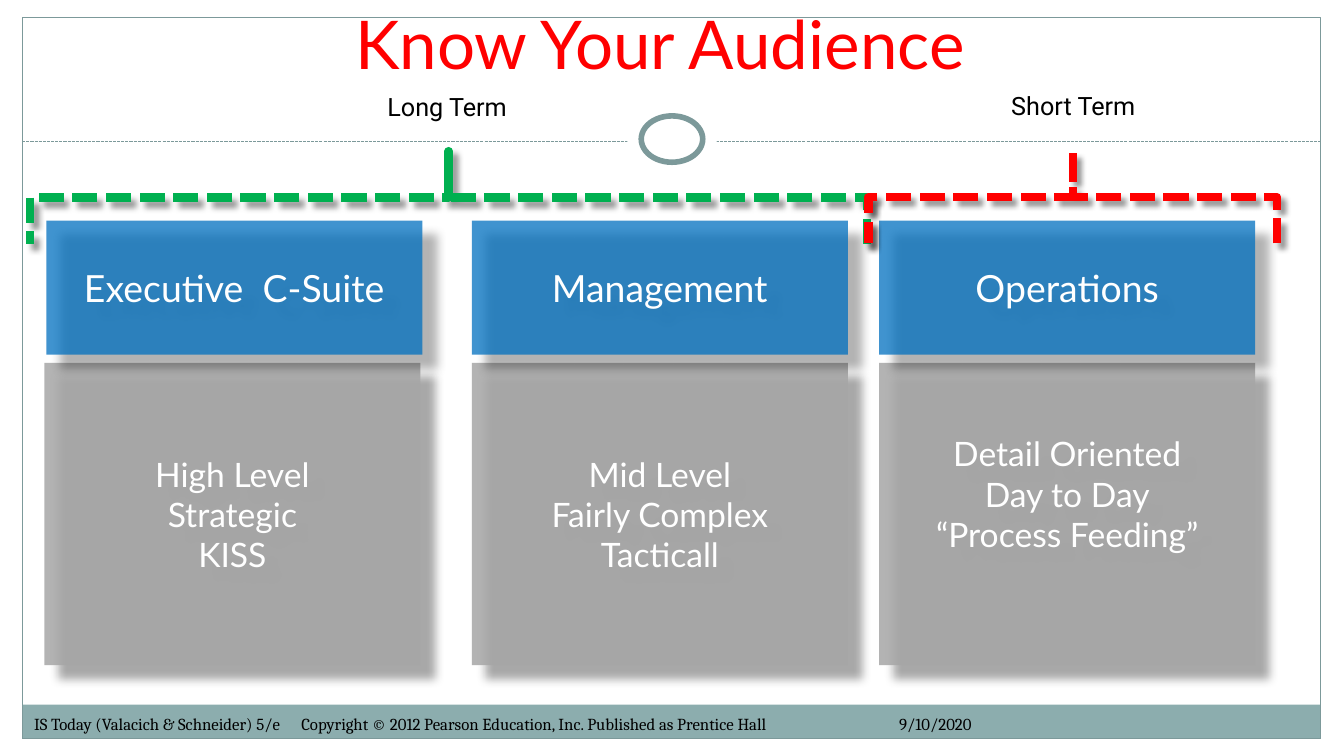
"""Build the audience slide: three columns under long-term and short-term braces."""
from lxml import etree
from pptx import Presentation
from pptx.dml.color import RGBColor
from pptx.enum import dml, shapes, text
from pptx.oxml.ns import qn
from pptx.util import Inches, Pt

TITLE = "Know Your Audience"
COLUMNS = [
    {"left": 4.68 - 4.22, "body_left": 0.44, "head": "Executive  C-Suite",
     "lines": ["High Level", "Strategic", "KISS"], "bottom": 0.05},
    {"left": 4.68, "body_left": 4.68, "head": "Management",
     "lines": ["Mid Level", "Fairly Complex", "Tacticall"], "bottom": 0.05},
    {"left": 8.72, "body_left": 8.72, "head": "Operations",
     "lines": ["Detail Oriented", "Day to Day", "“Process Feeding”"], "bottom": 0.45},
]
TERMS = [
    {"label": "Long Term", "label_at": (3.31, 0.86), "center": (4.45, 1.96),
     "span": 8.3, "color": "green"},
    {"label": "Short Term", "label_at": (9.52, 0.85), "center": (10.64, 1.955),
     "span": 4.05, "color": "red"},
]
FOOTER = ["IS Today (Valacich & Schneider) 5/e",
          "Copyright © 2012 Pearson Education, Inc. Published as Prentice Hall",
          "9/10/2020"]
FOOTER_TABS = [2.65, 8.58]

COLORS = {"white": "FFFFFF", "black": "000000", "band": "8CADAE", "frame": "7C999A",
          "gray": "A6A6A6", "blue": "0070C0", "green": "00B050", "red": "FF0000"}
FORMATS = {
    "title": {"name": "Lato", "size": Pt(48), "color": "red"},
    "head": {"name": "Lato", "size": Pt(26.7), "color": "white"},
    "body": {"name": "Lato", "size": Pt(24), "color": "white"},
    "term": {"name": "Roboto", "size": Pt(18), "color": "black"},
    "footer": {"name": "Cambria", "size": Pt(12), "color": "black"},
}
CARD_WIDTH, HEAD_TOP, HEAD_HEIGHT, BODY_TOP, BODY_HEIGHT = 3.73, 2.19, 1.33, 3.6, 3
BRACE_DEPTH = 0.92
CARD_SHADOW = {"blur": 7, "distance": 14}
BRACE_SHADOW = {"blur": 4, "distance": 5}


def rgb(color):
    return RGBColor.from_string(COLORS[color])


def style_line(line, color, width, dashed=False):
    line.color.rgb = rgb(color)
    line.width = Pt(width)
    if dashed:
        line.dash_style = dml.MSO_LINE.SQUARE_DOT


def add_shadow(shape, blur, distance):
    effects = shape._element.spPr.find(qn("a:effectLst"))
    shadow = etree.SubElement(effects, qn("a:outerShdw"), blurRad=str(Pt(blur)),
                              dist=str(Pt(distance)), dir=str(45 * 60000),
                              algn="tl", rotWithShape="0")
    color = etree.SubElement(shadow, qn("a:srgbClr"), val=COLORS["black"])
    etree.SubElement(color, qn("a:alpha"), val="40000")


def add_preset(slide, kind, box, fill=None, opacity=100, line=None):
    shape = slide.shapes.add_shape(kind, *map(Inches, box))
    shape.shadow.inherit = False
    if fill:
        shape.fill.solid()
        shape.fill.fore_color.rgb = rgb(fill)
        if opacity < 100:
            color = shape._element.spPr.find(qn("a:solidFill"))[0]
            etree.SubElement(color, qn("a:alpha"), val=str(opacity * 1000))
    else:
        shape.fill.background()
    if line:
        style_line(shape.line, *line)
    else:
        shape.line.fill.background()
    return shape


def write(shape, lines, style, align=text.PP_ALIGN.CENTER,
          anchor=text.MSO_ANCHOR.TOP, bottom=0.05):
    frame = shape.text_frame
    settings = {"word_wrap": True, "vertical_anchor": anchor,
                "auto_size": text.MSO_AUTO_SIZE.NONE, "margin_bottom": Inches(bottom)}
    for name, value in settings.items():
        setattr(frame, name, value)
    frame.text = "\n".join(lines)
    for paragraph in frame.paragraphs:
        paragraph.alignment = align
        for run in paragraph.runs:
            for name, value in FORMATS[style].items():
                if name == "color":
                    run.font.color.rgb = rgb(value)
                else:
                    setattr(run.font, name, value)


def add_text(slide, box, lines, style, **options):
    shape = slide.shapes.add_textbox(*map(Inches, box))
    write(shape, lines, style, **options)
    return shape


def add_backdrop(slide):
    rectangle, oval = shapes.MSO_SHAPE.RECTANGLE, shapes.MSO_SHAPE.OVAL
    add_preset(slide, rectangle, (0.22, 6.99, 12.88, 0.34), fill="band")
    add_preset(slide, rectangle, (0.22, 0.17, 12.88, 7.16), line=("frame", 0.75))
    rule = slide.shapes.add_connector(shapes.MSO_CONNECTOR.STRAIGHT,
                                      *map(Inches, (0.22, 1.4, 13.1, 1.4)))
    style_line(rule.line, "frame", 0.75, dashed=True)
    etree.SubElement(rule._element.spPr, qn("a:effectLst"))
    add_preset(slide, oval, (6.22, 1.05, 0.89, 0.67), fill="white")
    add_preset(slide, oval, (6.36, 1.15, 0.61, 0.46), fill="white", line=("frame", 4))
    footer = add_text(slide, (0.24, 7.03, 12.8, 0.27), ["\t".join(FOOTER)], "footer",
                      align=text.PP_ALIGN.LEFT)
    properties = footer.text_frame.paragraphs[0]._p.get_or_add_pPr()
    tabs = etree.SubElement(properties, qn("a:tabLst"))
    for position in FOOTER_TABS:
        etree.SubElement(tabs, qn("a:tab"), pos=str(Inches(position)), algn="l")


def add_column(slide, column):
    cards = [
        ((column["body_left"], BODY_TOP, CARD_WIDTH, BODY_HEIGHT), "gray", 85,
         column["lines"], "body", column["bottom"]),
        ((column["left"], HEAD_TOP, CARD_WIDTH, HEAD_HEIGHT), "blue", 75,
         [column["head"]], "head", 0.05),
    ]
    for box, fill, opacity, lines, style, bottom in cards:
        card = add_preset(slide, shapes.MSO_SHAPE.RECTANGLE, box, fill, opacity)
        add_shadow(card, **CARD_SHADOW)
        write(card, lines, style, anchor=text.MSO_ANCHOR.MIDDLE, bottom=bottom)


def add_brace(slide, term):
    x, y = term["center"]
    box = (x - BRACE_DEPTH / 2, y - term["span"] / 2, BRACE_DEPTH, term["span"])
    brace = add_preset(slide, shapes.MSO_SHAPE.RIGHT_BRACE, box,
                       line=(term["color"], 6, True))
    brace.adjustments[0] = 0
    brace.adjustments[1] = 0.5
    brace.rotation = 270
    brace._element.spPr.find(qn("a:xfrm")).set("flipV", "1")
    add_shadow(brace, **BRACE_SHADOW)


def main():
    presentation = Presentation()
    presentation.slide_width = Inches(13.33)
    presentation.slide_height = Inches(7.5)
    slide = presentation.slides.add_slide(presentation.slide_layouts[5])
    add_backdrop(slide)
    for column in COLUMNS:
        add_column(slide, column)

    title = slide.shapes.title
    title.left, title.top, title.width, title.height = map(Inches, (0, -0.03, 13.09, 0.91))
    write(title, [TITLE], "title")
    slide.shapes._spTree.append(title._element)

    for term in TERMS:
        add_brace(slide, term)
        add_text(slide, (*term["label_at"], 2.25, 0.4), [term["label"]], "term")
    presentation.save("out.pptx")


if __name__ == "__main__":
    main()
